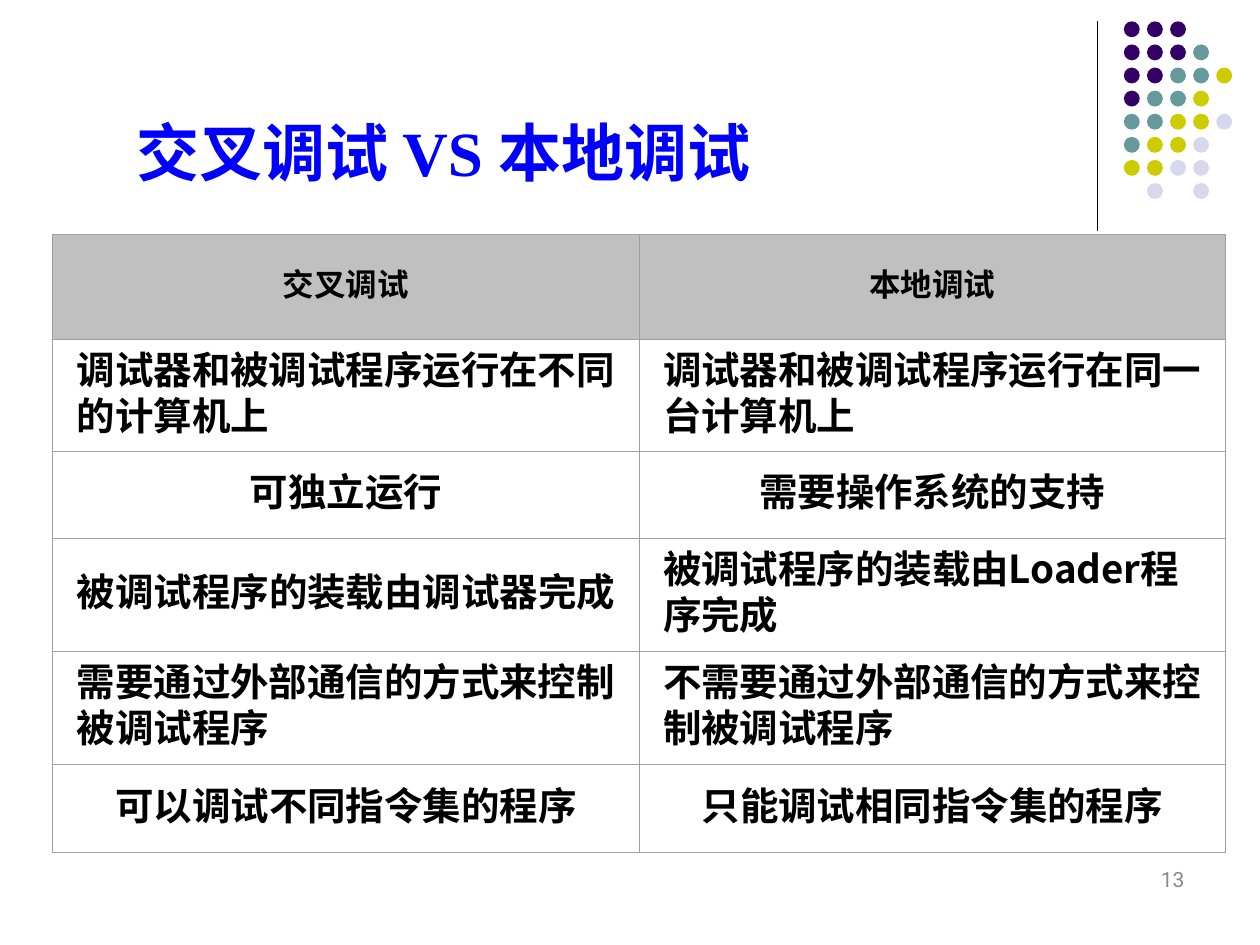
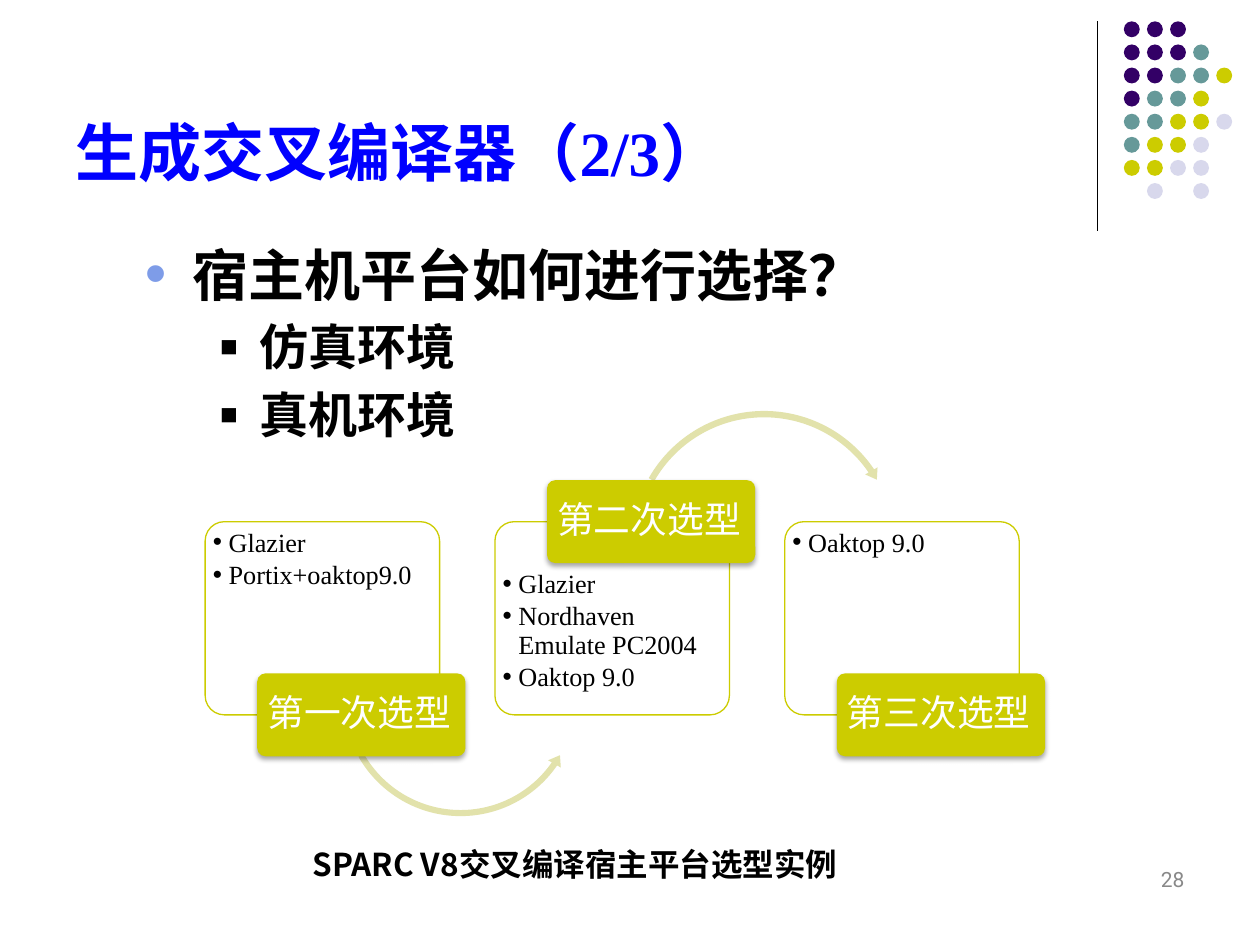
from lxml import etree
from pptx import Presentation
from pptx.dml.color import RGBColor
from pptx.enum.shapes import MSO_CONNECTOR as Connector, MSO_SHAPE as Shape
from pptx.enum.text import MSO_ANCHOR as Anchor, MSO_AUTO_SIZE as AutoSize, PP_ALIGN as Align
from pptx.oxml.ns import qn
from pptx.util import Pt

COLORS = {
    "title": "0000FF", "text": "000000", "white": "FFFFFF", "number": "898989",
    "purple": "330066", "teal": "669999", "lime": "CCCC00", "pale": "D8D8EC",
    "header": "C0C0C0", "border": "A0A0A0", "arrow": "E2E2AB", "bullet": "7E9CE8",
}
SERIF, SANS, NUMBER_FONT = "Times New Roman", "Noto Sans CJK SC", "Roboto"
SANS_LINE = 1.19  # line height as a multiple of the text size

DOT_COLORS = {"P": "purple", "T": "teal", "L": "lime", "G": "pale"}
DOT_ROWS = ["PPP", "PPPT", "PPTTL", "PTTL", "TTLLG", "TLLG", "LLGG", " G G"]
DOT_LEFT, DOT_TOP, DOT_PITCH, DOT_SIZE = 642.2, 12.2, 13.2, 9.1

COMPARISON = [
    ("交叉调试", "本地调试"),
    ("调试器和被调试程序运行在不同的计算机上", "调试器和被调试程序运行在同一台计算机上"),
    ("可独立运行", "需要操作系统的支持"),
    ("被调试程序的装载由调试器完成", "被调试程序的装载由Loader程序完成"),
    ("需要通过外部通信的方式来控制被调试程序", "不需要通过外部通信的方式来控制被调试程序"),
    ("可以调试不同指令集的程序", "只能调试相同指令集的程序"),
]
ROW_HEIGHTS = [60, 63.9, 49.9, 64.5, 64.7, 49.9]
CHARACTERS_PER_LINE = 14

# label, items, whether the label sits on the top edge
SELECTIONS = [
    ("第一次选型", ["Glazier", "Portix+oaktop9.0"], False),
    ("第二次选型", ["Glazier", "Nordhaven Emulate PC2004", "Oaktop 9.0"], True),
    ("第三次选型", ["Oaktop 9.0"], False),
]
CARD_LEFT, CARD_TOP, CARD_PITCH = 117.2, 298.1, 165.6
CARD_WIDTH, CARD_HEIGHT = 134, 110.4
LABEL_WIDTH, LABEL_HEIGHT = 119, 47.4


def rgb(name):
    return RGBColor.from_string(COLORS[name])


def add_xml(parent, tag, **attributes):
    return etree.SubElement(parent, qn(tag), {key: str(value) for key, value in attributes.items()})


def add_run(paragraph, text, size, font=SERIF, color="text", bold=False):
    run = paragraph.add_run()
    run.text = text
    run.font.size = Pt(size)
    run.font.name = font
    run.font.bold = bold
    run.font.color.rgb = rgb(color)
    if font == SANS:
        add_xml(run.font._element, "a:ea", typeface=font)
        paragraph.line_spacing = Pt(round(size * SANS_LINE, 1))


def set_bullet(paragraph, character, left, hanging, color="text", percent=100):
    """Call after the paragraph's spacing is set, as the XML order requires."""
    properties = paragraph._p.get_or_add_pPr()
    properties.set("marL", str(Pt(left)))
    properties.set("indent", str(-Pt(hanging)))
    add_xml(add_xml(properties, "a:buClr"), "a:srgbClr", val=COLORS[color])
    add_xml(properties, "a:buSzPct", val=percent * 1000)
    add_xml(properties, "a:buFont", typeface="Arial")
    add_xml(properties, "a:buChar", char=character)


def set_margins(target, horizontal, vertical):
    target.margin_left = target.margin_right = Pt(horizontal)
    target.margin_top = target.margin_bottom = Pt(vertical)


def add_text_box(slide, left, top, width, height, margins=(0, 3.6)):
    box = slide.shapes.add_textbox(Pt(left), Pt(top), Pt(width), Pt(height))
    frame = box.text_frame
    frame.word_wrap = True
    set_margins(frame, *margins)
    return frame


def next_paragraph(frame, index):
    return frame.paragraphs[0] if index == 0 else frame.add_paragraph()


def add_filled_shape(slide, kind, left, top, width, height, fill, adjustments=()):
    shape = slide.shapes.add_shape(kind, Pt(left), Pt(top), Pt(width), Pt(height))
    shape.shadow.inherit = False
    shape.fill.solid()
    shape.fill.fore_color.rgb = rgb(fill)
    shape.line.fill.background()
    for index, value in enumerate(adjustments):
        shape.adjustments[index] = value
    return shape


def add_corner_decoration(slide):
    line = slide.shapes.add_connector(Connector.STRAIGHT, Pt(627.1), Pt(12.2), Pt(627.1), Pt(131.8))
    line.line.color.rgb = rgb("text")
    line.line.width = Pt(0.75)
    add_xml(line._element.spPr, "a:effectLst")
    for row, pattern in enumerate(DOT_ROWS):
        for column, code in enumerate(pattern):
            if code in DOT_COLORS:
                add_filled_shape(slide, Shape.OVAL, DOT_LEFT + column * DOT_PITCH,
                                 DOT_TOP + row * DOT_PITCH, DOT_SIZE, DOT_SIZE, DOT_COLORS[code])


def add_base_slide(presentation, title_text, title_box, number):
    """Add a slide with the shared decoration, title style and slide number."""
    slide = presentation.slides.add_slide(presentation.slide_layouts[5])
    add_corner_decoration(slide)
    title = slide.shapes.title
    title.left, title.top, title.width, title.height = map(Pt, title_box)
    frame = title.text_frame
    frame.word_wrap = True
    frame.auto_size = AutoSize.NONE
    frame.vertical_anchor = Anchor.BOTTOM
    frame.paragraphs[0].alignment = Align.LEFT
    add_run(frame.paragraphs[0], title_text, 36, color="title", bold=True)
    paragraph = add_text_box(slide, 516.2, 491.8, 167.8, 36, (7.2, 3.6)).paragraphs[0]
    paragraph.alignment = Align.RIGHT
    add_run(paragraph, number, 12, NUMBER_FONT, "number")
    return slide


def set_cell_borders(cell):
    properties = cell._tc.get_or_add_tcPr()
    for index, side in enumerate(("a:lnL", "a:lnR", "a:lnT", "a:lnB")):
        line = add_xml(properties, side, w=Pt(0.5))
        add_xml(add_xml(line, "a:solidFill"), "a:srgbClr", val=COLORS["border"])
        properties.insert(index, line)


def fill_cell(cell, text, is_header):
    cell.fill.solid()
    cell.fill.fore_color.rgb = rgb("header" if is_header else "white")
    set_cell_borders(cell)
    set_margins(cell, 7.9, 3.6)
    cell.vertical_anchor = Anchor.MIDDLE
    paragraph = cell.text_frame.paragraphs[0]
    if len(text) > CHARACTERS_PER_LINE:
        cell.margin_left = Pt(13.7)
        paragraph.alignment = Align.LEFT
    else:
        paragraph.alignment = Align.CENTER
    add_run(paragraph, text, 18 if is_header else 22, SANS, bold=True)


def add_comparison_table(slide):
    table = slide.shapes.add_table(len(COMPARISON), 2, Pt(30.2), Pt(134), Pt(670),
                                   Pt(sum(ROW_HEIGHTS))).table
    table.first_row = table.horz_banding = False
    for row, (texts, height) in enumerate(zip(COMPARISON, ROW_HEIGHTS)):
        table.rows[row].height = Pt(height)
        for column, text in enumerate(texts):
            fill_cell(table.cell(row, column), text, row == 0)


def add_question(slide):
    frame = add_text_box(slide, 82.8, 134, 583, 54)
    question = frame.paragraphs[0]
    add_run(question, "宿主机平台如何进行选择？", 32, SANS, bold=True)
    set_bullet(question, "•", 27, 27, "bullet", 110)
    for environment in ("仿真环境", "真机环境"):
        paragraph = frame.add_paragraph()
        paragraph.level = 1
        paragraph.space_before = Pt(5.6)
        add_run(paragraph, environment, 28, SANS, bold=True)
        set_bullet(paragraph, "■", 65.5, 22.5, percent=60)


def add_card(slide, left, items, label_on_top):
    card = add_filled_shape(slide, Shape.ROUNDED_RECTANGLE, left, CARD_TOP, CARD_WIDTH,
                            CARD_HEIGHT, "white", [0.1])
    add_xml(card._element.spPr.find(".//" + qn("a:srgbClr")), "a:alpha", val=90000)
    card.line.color.rgb = rgb("lime")
    card.line.width = Pt(0.75)
    text_top = CARD_TOP + 2.2 + (LABEL_HEIGHT / 2 if label_on_top else 0)
    frame = add_text_box(slide, left + 2.2, text_top, 128.9, 81.4, (2.2, 2.2))
    for index, item in enumerate(items):
        paragraph = next_paragraph(frame, index)
        paragraph.line_spacing = 0.9
        paragraph.space_after = Pt(2.25)
        add_run(paragraph, item, 15)
        set_bullet(paragraph, "•", 9, 9)


def add_label(slide, card_left, text, on_top):
    edge = CARD_TOP if on_top else CARD_TOP + CARD_HEIGHT
    label = add_filled_shape(slide, Shape.ROUNDED_RECTANGLE, card_left + 29.8,
                             edge - LABEL_HEIGHT / 2, LABEL_WIDTH, LABEL_HEIGHT, "lime", [0.1])
    effects = label._element.spPr.find(qn("a:effectLst"))
    shadow = add_xml(effects, "a:outerShdw", blurRad=Pt(3.1), dist=Pt(1.8), dir=90 * 60000,
                     rotWithShape=0)
    add_xml(add_xml(shadow, "a:srgbClr", val=COLORS["text"]), "a:alpha", val=35000)
    frame = label.text_frame
    frame.word_wrap = True
    frame.vertical_anchor = Anchor.MIDDLE
    set_margins(frame, 4.4, 3.6)
    paragraph = frame.paragraphs[0]
    paragraph.alignment = Align.LEFT
    paragraph.line_spacing = 0.9
    add_run(paragraph, text, 21, color="white")


def add_selection_flow(slide):
    lefts = [CARD_LEFT + index * CARD_PITCH for index in range(len(SELECTIONS))]
    for left, (_, items, on_top) in zip(lefts, SELECTIONS):
        add_card(slide, left, items, on_top)
    add_filled_shape(slide, Shape.LEFT_CIRCULAR_ARROW, 193.7, 329.8, 139, 139, "arrow",
                     [0.025, 3.094, 20.849, 90.245, 0.03])
    add_filled_shape(slide, Shape.CIRCULAR_ARROW, 358.6, 232.6, 156.2, 156.2, "arrow",
                     [0.023, 2.738, 195.507, 125.755, 0.026])
    for left, (text, _, on_top) in zip(lefts, SELECTIONS):
        add_label(slide, left, text, on_top)


def main():
    presentation = Presentation()
    presentation.slide_width, presentation.slide_height = Pt(720), Pt(540)

    slide = add_base_slide(presentation, "交叉调试 VS 本地调试", (70.6, 49, 532.8, 62.6), "13")
    add_comparison_table(slide)

    slide = add_base_slide(presentation, "生成交叉编译器（2/3）", (36, 9.4, 594, 102.2), "28")
    add_question(slide)
    add_selection_flow(slide)
    caption = add_text_box(slide, 178.6, 479.5, 402.5, 36)
    add_run(caption.paragraphs[0], "SPARC V8交叉编译宿主平台选型实例", 18, SANS, bold=True)

    presentation.save("out.pptx")


if __name__ == "__main__":
    main()
